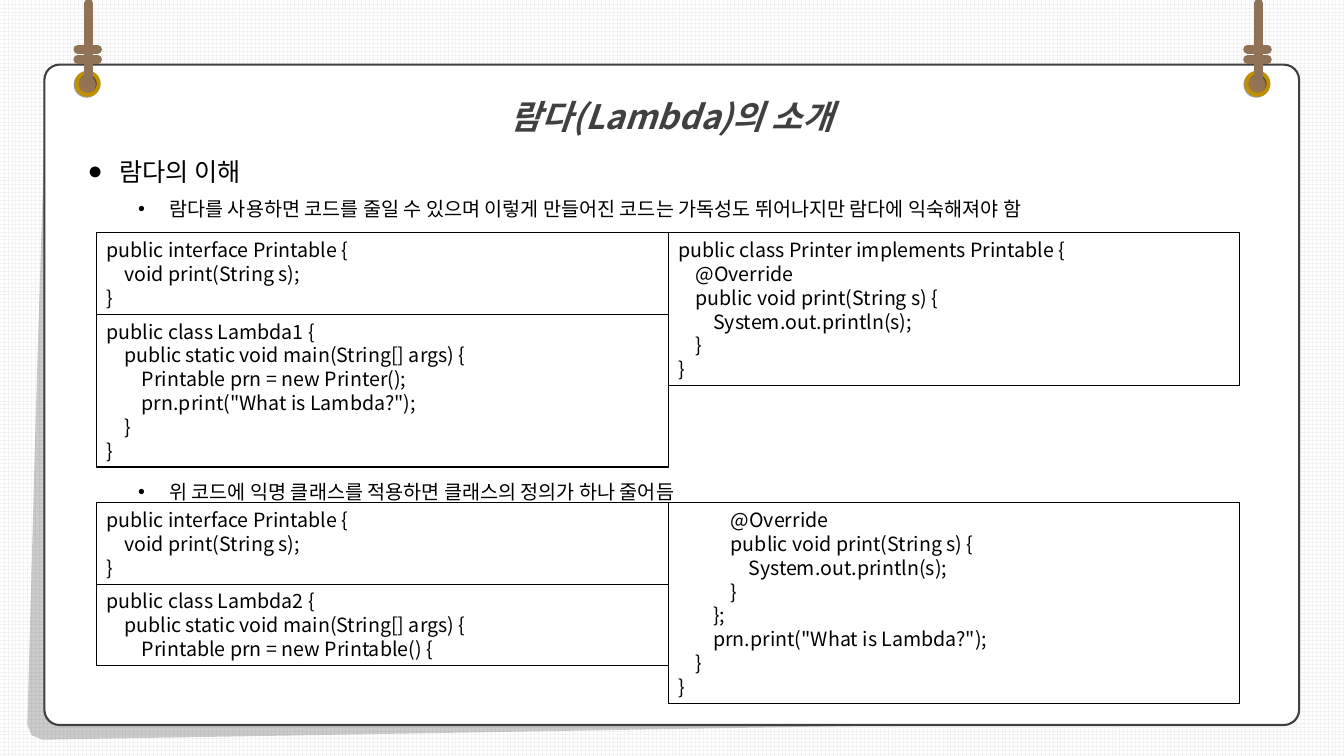
from pptx import Presentation
from pptx.dml.color import RGBColor as Rgb
from pptx.enum.dml import MSO_PATTERN as Pat
from pptx.enum.shapes import MSO_CONNECTOR as Con, MSO_SHAPE as Geo
from pptx.enum.text import MSO_ANCHOR as Anchor, MSO_AUTO_SIZE as Fit, PP_ALIGN as Align
from pptx.oxml.ns import qn
from pptx.util import Cm, Pt
from lxml.etree import SubElement as sub

FONT = "Noto Sans CJK KR"
ROPE = "907256"

PRINTABLE = """public interface Printable {
    void print(String s);
}"""
PRINTER = """public class Printer implements Printable {
    @Override
    public void print(String s) {
        System.out.println(s);
    }
}"""
LAMBDA1 = """public class Lambda1 {
    public static void main(String[] args) {
        Printable prn = new Printer();
        prn.print("What is Lambda?");
    }
}"""
LAMBDA2 = """public class Lambda2 {
    public static void main(String[] args) {
        Printable prn = new Printable() {"""
INNER = """            @Override
            public void print(String s) {
                System.out.println(s);
            }
        };
        prn.print("What is Lambda?");
    }
}"""


def paint(color, tint):
    color.rgb = Rgb.from_string(tint)


def style(shape, fill=None, line=None, width=0.75):
    shape.shadow.inherit = False
    if fill:
        shape.fill.solid()
        paint(shape.fill.fore_color, fill)
    else:
        shape.fill.background()
    if line:
        paint(shape.line.color, line)
        shape.line.width = Pt(width)
    else:
        shape.line.fill.background()
    return shape


def fade(color, share):
    sub(color, qn("a:alpha"), val=str(share * 1000))


def place(shape, left, top, width, height):
    shape.left, shape.top = Cm(left), Cm(top)
    shape.width, shape.height = Cm(width), Cm(height)


def frame(shape, anchor=Anchor.TOP, inset=None):
    box = shape.text_frame
    box.word_wrap = True
    box.auto_size = Fit.NONE
    box.vertical_anchor = anchor
    if inset is not None:
        box.margin_left = box.margin_right = Cm(inset)
        box.margin_top = box.margin_bottom = Cm(inset)
    return box


def write(box, text, size=14, color="000000", pitch=17, before=0, align=Align.LEFT,
          bold=False, italic=False, bullet=None, indent=0, level=0):
    """Write one paragraph, reusing the empty first one."""
    para = box.paragraphs[0]
    if para.runs:
        para = box.add_paragraph()
    if bullet:
        props = para._p.get_or_add_pPr()
        props.set("marL", str(Cm(indent)))
        props.set("indent", str(-Cm(0.79)))
        sub(props, qn("a:buChar"), char=bullet)
    para.level, para.alignment = level, align
    para.line_spacing, para.space_before = Pt(pitch), Pt(before)
    run = para.add_run()
    run.text = text
    font = run.font
    font.name, font.size, font.bold, font.italic = FONT, Pt(size), bold, italic
    paint(font.color, color)
    sub(run._r.get_or_add_rPr(), qn("a:ea"), typeface=FONT)


def code(shapes, left, top, text):
    """Draw a listing box as tall as its lines and return its bottom."""
    lines = text.split("\n")
    high = 0.6 * len(lines) + 0.25
    rect = shapes.add_shape(Geo.RECTANGLE, Cm(left), Cm(top), Cm(14.4), Cm(high))
    box = frame(style(rect, line="000000"))
    for line in lines:
        write(box, line)
    return top + high


def cord(shapes, x1, y1, x2, y2):
    line = shapes.add_connector(Con.STRAIGHT, Cm(x1), Cm(y1), Cm(x2), Cm(y2))
    paint(line.line.color, ROPE)
    line.line.width = Pt(6.25)
    line.line._get_or_add_ln().set("cap", "rnd")
    sub(line.element.spPr, qn("a:effectLst"))


def hook(shapes, left):
    """Draw an eyelet with a knotted rope."""
    spot = Cm(left), Cm(1.83), Cm(0.56), Cm(0.56)
    style(shapes.add_shape(Geo.OVAL, *spot), fill="967353")
    ring = style(shapes.add_shape(Geo.OVAL, *spot), line="BF9000", width=2.75)
    effects = ring.element.spPr.find(qn("a:effectLst"))
    shade = sub(effects, qn("a:outerShdw"), dist=str(Pt(1)), dir="8100000")
    fade(sub(shade, qn("a:srgbClr"), val="000000"), 40)
    cord(shapes, left + 0.31, 2.08, left + 0.31, 0.08)
    for y in (1.5, 1.24):
        cord(shapes, left + 0.53, y, left + 0.03, y)


def card(shapes):
    """Draw the lifted sheet and its shadow."""
    points = [(1.14, 2.79), (0.9, 10.54), (0.69, 18.26), (0.8, 18.53),
              (1.07, 18.64), (32.39, 18.11)]
    path = shapes.build_freeform(Cm(5.89), Cm(11.66))
    path.add_line_segments([(Cm(x), Cm(y)) for x, y in points])
    shade = style(path.convert_to_shape(), fill="000000")
    fade(shade.element.spPr.find(".//" + qn("a:srgbClr")), 20)
    sheet = shapes.add_shape(Geo.ROUNDED_RECTANGLE, Cm(1.12), Cm(1.63), Cm(31.62), Cm(16.64))
    sheet.adjustments[0] = 0.023
    style(sheet, fill="FFFFFF", line="404040", width=1.5)


def main():
    deck = Presentation()
    deck.slide_width, deck.slide_height = Cm(33.87), Cm(19.05)
    slide = deck.slides.add_slide(deck.slide_layouts[1])
    shapes = slide.shapes

    # Grid background
    back = slide.background.fill
    back.patterned()
    back.pattern = Pat.LARGE_GRID
    paint(back.fore_color, "F2F2F2")
    paint(back.back_color, "FFFFFF")

    # Sheet, with title and list brought in front of it
    title, body = shapes.title, slide.placeholders[1]
    card(shapes)
    for holder in (title, body):
        shapes.element.append(holder.element)

    # Title
    place(title, 8.46, 2.41, 16.94, 1.02)
    write(frame(title, Anchor.MIDDLE, 0), "람다(Lambda)의 소개", size=24, color="404040",
          pitch=29, align=Align.CENTER, bold=True, italic=True)

    # List
    place(body, 2.21, 3.92, 29.5, 9)
    box = frame(body, inset=0)
    write(box, "람다의 이해", size=18, pitch=22, bullet="●", indent=0.79)
    notes = [("람다를 사용하면 코드를 줄일 수 있으며 이렇게 만들어진 코드는 "
              "가독성도 뛰어나지만 람다에 익숙해져야 함", 7.5),
             ("위 코드에 익명 클래스를 적용하면 클래스의 정의가 하나 줄어듬", 185)]
    for text, gap in notes:
        write(box, text, before=gap, bullet="•", indent=2.06, level=1)

    # Ropes
    for left in (1.93, 31.41):
        hook(shapes, left)

    # Code listings
    for top, lower, right in ((5.87, LAMBDA1, PRINTER), (12.67, LAMBDA2, INNER)):
        end = code(shapes, 2.44, top, PRINTABLE)
        code(shapes, 16.84, top, right)
        code(shapes, 2.44, end, lower)

    deck.save("out.pptx")


if __name__ == "__main__":
    main()
